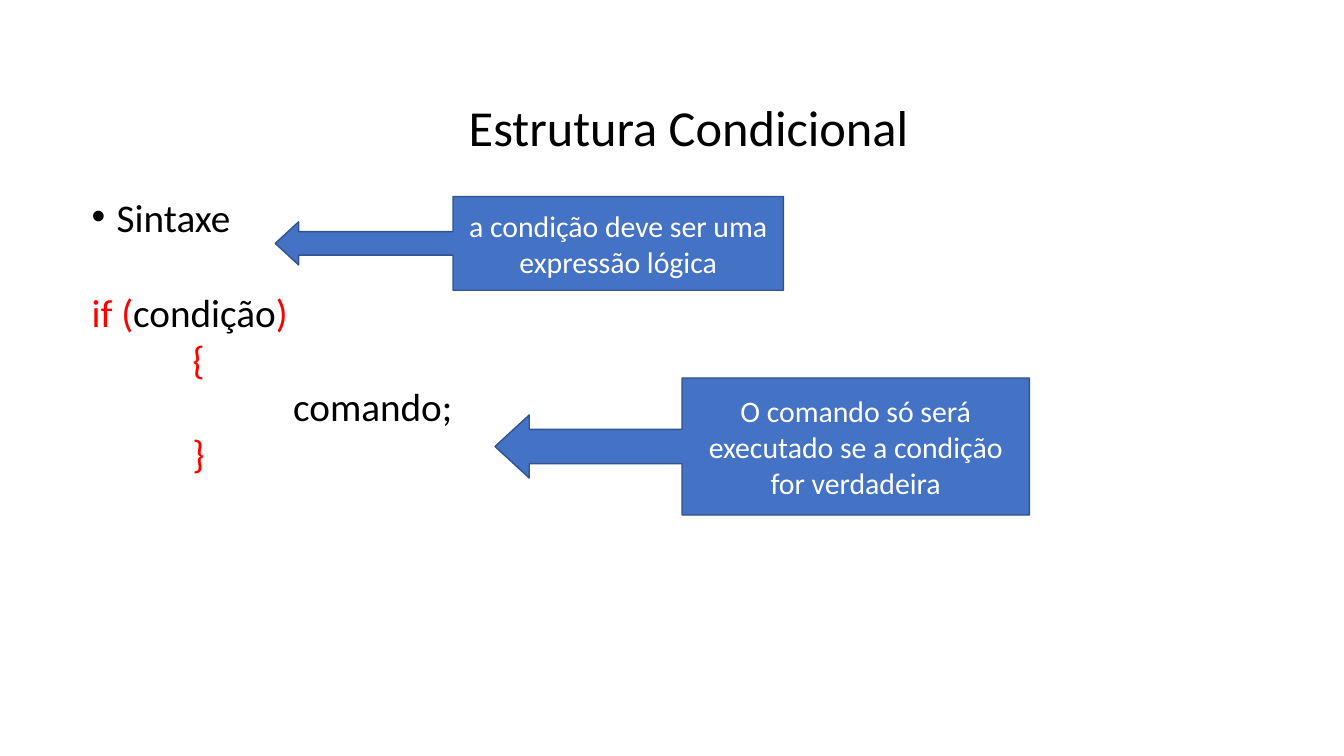
from lxml import etree
from pptx import Presentation
from pptx.dml.color import RGBColor
from pptx.enum.shapes import MSO_SHAPE as Shape
from pptx.enum.text import MSO_ANCHOR as Anchor, PP_ALIGN as Align
from pptx.oxml.ns import qn
from pptx.util import Inches, Pt

BLACK, RED, WHITE = "000000", "FF0000", "FFFFFF"
BLUE, DARK_BLUE = "4472C4", "31538F"

# Code lines: indent in inches, space before in points, coloured parts
CODE = [
    (0, 44, [("if (", RED), ("condição", BLACK), (")", RED)]),
    (1, 10, [("{", RED)]),
    (2, 10, [("comando;", BLACK)]),
    (1, 10, [("}", RED)]),
]


def color(hex_code):
    return RGBColor.from_string(hex_code)


def style_runs(paragraph, size, hex_code):
    for run in paragraph.runs:
        run.font.name = "Calibri"
        run.font.size = Pt(size)
        run.font.color.rgb = color(hex_code)


def add_text_frame(slide, left, top, width, height):
    box = slide.shapes.add_textbox(*map(Inches, (left, top, width, height)))
    box.text_frame.word_wrap = True
    return box.text_frame


def set_indent(paragraph, margin, first_line=0):
    properties = paragraph._p.get_or_add_pPr()
    properties.set("marL", str(Inches(margin)))
    properties.set("indent", str(Inches(first_line)))
    return properties


def add_title(slide, text):
    frame = add_text_frame(slide, 0.81, 0.74, 12.04, 1.1)
    frame.vertical_anchor = Anchor.MIDDLE
    frame.text = text
    heading = frame.paragraphs[0]
    heading.alignment = Align.CENTER
    heading.line_spacing = 0.9
    style_runs(heading, 36, BLACK)


def add_syntax(slide, label, code):
    frame = add_text_frame(slide, 0.81, 2, 12.04, 4.38)

    # Bulleted label
    frame.text = label
    bullet_line = frame.paragraphs[0]
    bullet_line.line_spacing = 0.7
    style_runs(bullet_line, 28, BLACK)
    properties = set_indent(bullet_line, 0.25, -0.25)
    etree.SubElement(properties, qn("a:buFont"), typeface="Arial")
    etree.SubElement(properties, qn("a:buChar"), char="•")

    # Code lines
    for indent, space_before, parts in code:
        line = frame.add_paragraph()
        line.line_spacing = 0.7
        line.space_before = Pt(space_before)
        set_indent(line, indent)
        for text, hex_code in parts:
            run = line.add_run()
            run.text = text
            run.font.name = "Calibri"
            run.font.size = Pt(28)
            run.font.color.rgb = color(hex_code)


def add_callout(slide, left, top, width, height, text):
    callout = slide.shapes.add_shape(
        Shape.LEFT_ARROW_CALLOUT, *map(Inches, (left, top, width, height)))
    for index, value in enumerate((0.25, 0.23, 0.25, 0.65)):
        callout.adjustments[index] = value
    callout.shadow.inherit = False
    callout.fill.solid()
    callout.fill.fore_color.rgb = color(BLUE)
    callout.line.color.rgb = color(DARK_BLUE)
    callout.line.width = Pt(1)
    frame = callout.text_frame
    frame.word_wrap = True
    frame.vertical_anchor = Anchor.MIDDLE
    frame.text = text
    frame.paragraphs[0].alignment = Align.CENTER
    style_runs(frame.paragraphs[0], 21.3, WHITE)


def main():
    deck = Presentation()
    deck.slide_width, deck.slide_height = Inches(13.33), Inches(7.5)
    slide = deck.slides.add_slide(deck.slide_layouts[6])

    add_title(slide, "Estrutura Condicional")
    add_syntax(slide, "Sintaxe", CODE)

    # Explanations pointing at the code
    add_callout(slide, 2.73, 1.95, 5.04, 0.93,
                "a condição deve ser uma expressão lógica")
    add_callout(slide, 4.91, 3.75, 5.3, 1.36,
                "O comando só será executado se a condição for verdadeira")

    deck.save("out.pptx")


if __name__ == "__main__":
    main()
